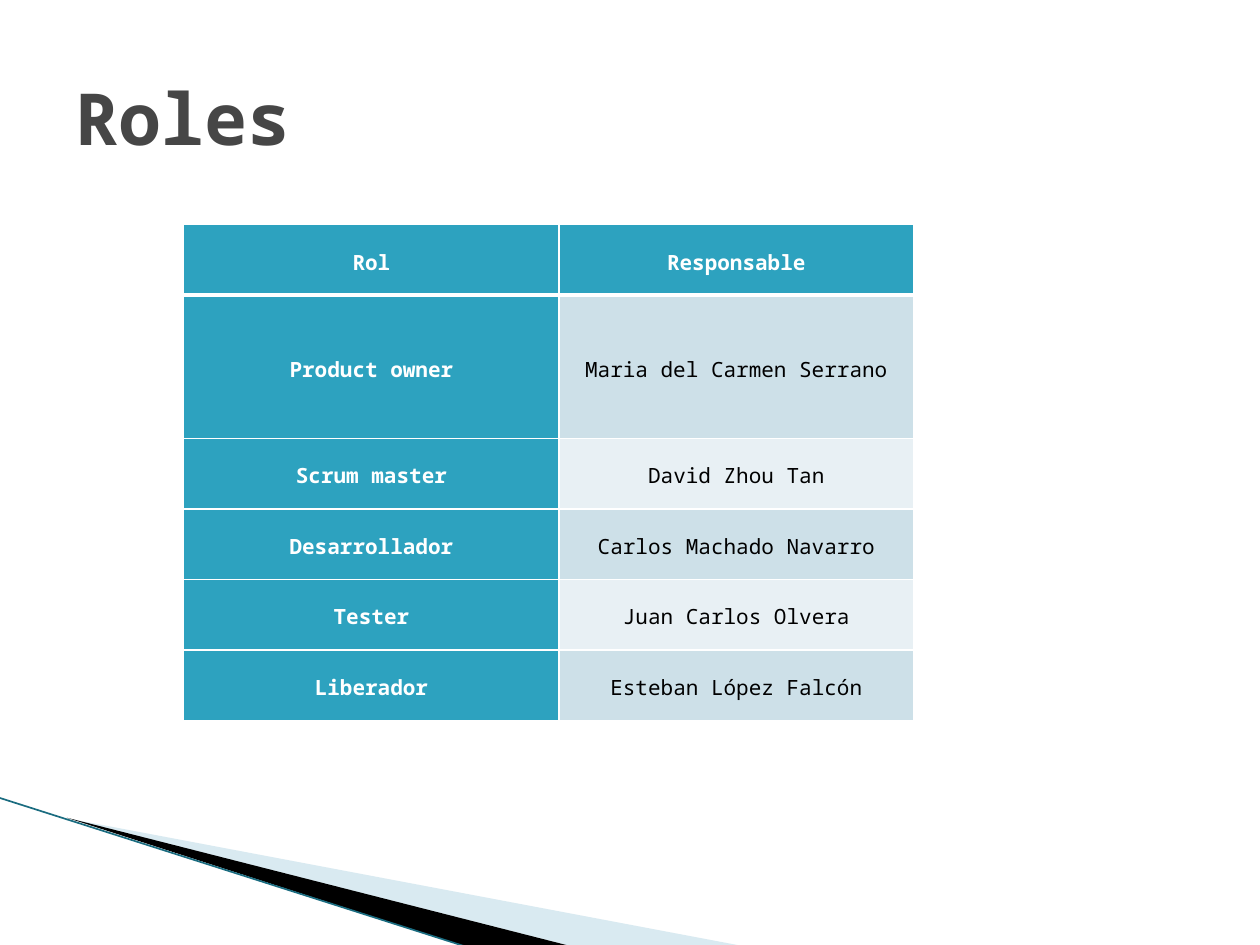
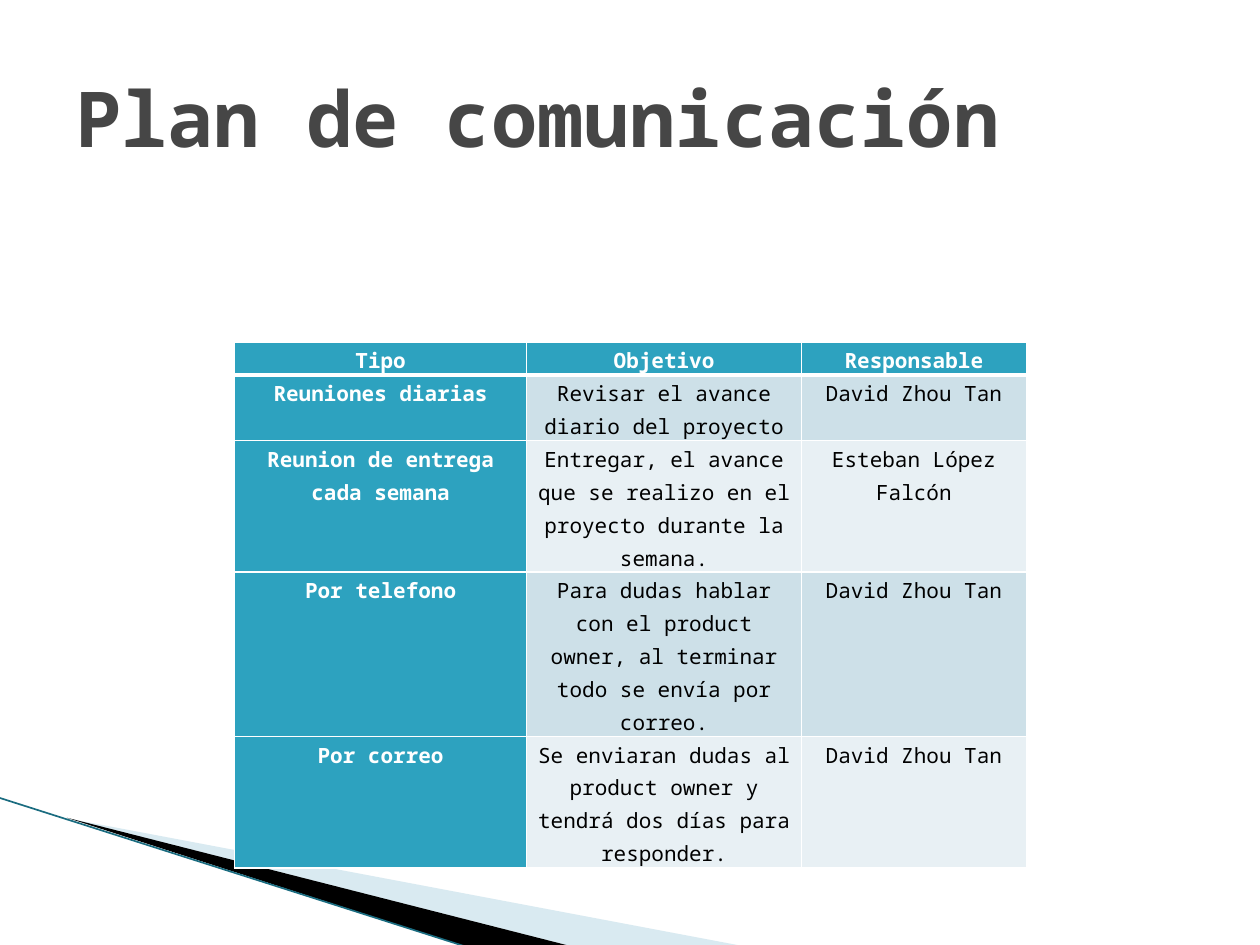
from lxml import etree
from pptx import Presentation
from pptx.dml.color import RGBColor
from pptx.enum.shapes import MSO_CONNECTOR
from pptx.enum.text import MSO_ANCHOR, PP_ALIGN
from pptx.oxml.ns import qn
from pptx.util import Pt

STRAIGHT = MSO_CONNECTOR.STRAIGHT
TOP, MIDDLE = MSO_ANCHOR.TOP, MSO_ANCHOR.MIDDLE
LEFT, CENTER = PP_ALIGN.LEFT, PP_ALIGN.CENTER

WHITE = RGBColor(0xFF, 0xFF, 0xFF)
BLACK = RGBColor(0x00, 0x00, 0x00)
TITLE_GRAY = RGBColor(0x46, 0x46, 0x46)
TEAL = RGBColor(0x2D, 0xA2, 0xBF)
DARK_TEAL = RGBColor(0x1A, 0x6C, 0x80)
PALE_BLUE = RGBColor(0xA0, 0xCB, 0xDC)
BANDS = (RGBColor(0xCD, 0xE0, 0xE8), RGBColor(0xE8, 0xF0, 0xF4))

FONT = "Noto Sans Mono"
SLIDE_SIZE = (720, 540)
TITLE_BOX = (36, 21.6, 648, 90)
CORNER_BOX = (-0.7, 455.8, 429, 85.5)
LINE_HEIGHT = 18.7
ROLE_ROW = 40.32

ROLES = [
    ("Rol", "Responsable"),
    ("Product owner", "Maria del Carmen Serrano"),
    ("Scrum master", "David Zhou Tan"),
    ("Desarrollador", "Carlos Machado Navarro"),
    ("Tester", "Juan Carlos Olvera"),
    ("Liberador", "Esteban López Falcón"),
]
COMMUNICATION = [
    ("Tipo", "Objetivo", "Responsable"),
    ("Reuniones diarias", "Revisar el avance diario del proyecto", "David Zhou Tan"),
    ("Reunion de entrega cada semana",
     "Entregar, el avance que se realizo en el proyecto durante la semana.",
     "Esteban López Falcón"),
    ("Por telefono",
     "Para dudas hablar con el product owner, al terminar todo se envía por correo.",
     "David Zhou Tan"),
    ("Por correo",
     "Se enviaran dudas al product owner y tendrá dos días para responder.",
     "David Zhou Tan"),
]


def write_text(frame, text, size=12, color=BLACK, bold=False, align=CENTER,
               line_spacing=None, space_after=None):
    """Write one formatted paragraph into a text frame."""
    frame.word_wrap = True
    paragraph = frame.paragraphs[0]
    paragraph.alignment = align
    if line_spacing is not None:
        paragraph.line_spacing = line_spacing
    if space_after is not None:
        paragraph.space_after = Pt(space_after)
    run = paragraph.add_run()
    run.text = text
    run.font.name = FONT
    run.font.size = Pt(size)
    run.font.bold = bold
    run.font.color.rgb = color


def add_title(slide, box, text, size):
    """Place the slide title in its box."""
    frame = slide.shapes.add_textbox(*map(Pt, box)).text_frame
    frame.vertical_anchor = MIDDLE
    write_text(frame, text, size=size, color=TITLE_GRAY, bold=True, align=LEFT)


def add_wedge(slide, points, color, opacity=100):
    """Draw a filled outline through points, with opacity in percent."""
    start, *others = [(Pt(x), Pt(y)) for x, y in points]
    builder = slide.shapes.build_freeform(*start)
    builder.add_line_segments(others, close=True)
    shape = builder.convert_to_shape()
    shape.shadow.inherit = False
    shape.fill.solid()
    shape.fill.fore_color.rgb = color
    shape.line.fill.background()
    if opacity < 100:
        color_element = shape.element.spPr.find(".//" + qn("a:srgbClr"))
        etree.SubElement(color_element, qn("a:alpha"), val=str(opacity * 1000))


def add_corner(slide, box):
    """Draw the wedges and edge line of the lower left corner."""
    left, top, width, height = box
    right, bottom = left + width, top + height
    tip_x, tip_y = left + 40, top + 12
    inner, edge = left + 329.5, left + 268
    add_wedge(slide, [(tip_x, tip_y), (right, bottom), (inner, bottom)],
              PALE_BLUE, opacity=40)
    add_wedge(slide, [(tip_x - 1, tip_y - 0.5), (inner, bottom), (edge, bottom)], BLACK)
    line = slide.shapes.add_connector(STRAIGHT, *map(Pt, (left, top, edge, bottom)))
    line.line.color.rgb = DARK_TEAL
    line.line.width = Pt(0.95)
    etree.SubElement(line.element.spPr, qn("a:effectLst"))


def set_borders(cell, row_index):
    """Give a cell white borders, thicker beneath the header row."""
    widths = {"L": 1, "R": 1, "T": 3 if row_index == 1 else 1,
              "B": 3 if row_index == 0 else 1}
    properties = cell._tc.get_or_add_tcPr()
    for side, width in widths.items():
        border = etree.SubElement(properties, qn("a:ln" + side), w=str(Pt(width)))
        fill = etree.SubElement(border, qn("a:solidFill"))
        etree.SubElement(fill, qn("a:srgbClr"), val=str(WHITE))


def add_banded_table(slide, origin, column_widths, row_heights, rows, anchor):
    """Build a table with a teal header row, a teal first column and banded rows."""
    box = (*origin, sum(column_widths), sum(row_heights))
    table = slide.shapes.add_table(len(rows), len(column_widths), *map(Pt, box)).table
    table.horz_banding = False
    for column, width in zip(table.columns, column_widths):
        column.width = Pt(width)
    for row, height in zip(table.rows, row_heights):
        row.height = Pt(height)
    for row_index, texts in enumerate(rows):
        for column_index, text in enumerate(texts):
            cell = table.cell(row_index, column_index)
            heading = row_index == 0 or column_index == 0
            cell.margin_left = cell.margin_right = Pt(5.4)
            cell.margin_top = cell.margin_bottom = 0
            cell.vertical_anchor = anchor
            set_borders(cell, row_index)
            cell.fill.solid()
            cell.fill.fore_color.rgb = TEAL if heading else BANDS[(row_index - 1) % 2]
            write_text(cell.text_frame, text, color=WHITE if heading else BLACK,
                       bold=heading, line_spacing=1.15, space_after=10)


def add_table_slide(presentation, title, title_size, **table_format):
    """Add a slide with the corner art, a table and a title."""
    slide = presentation.slides.add_slide(presentation.slide_layouts[6])
    add_corner(slide, CORNER_BOX)
    add_banded_table(slide, **table_format)
    add_title(slide, TITLE_BOX, title, title_size)


def main():
    """Build and save the presentation."""
    presentation = Presentation()
    presentation.slide_width, presentation.slide_height = map(Pt, SLIDE_SIZE)
    add_table_slide(presentation, "Roles", 41, origin=(105, 128.3),
                    column_widths=(214.5, 202.5),
                    row_heights=[ROLE_ROW * units for units in (1, 2.03, 1, 1, 1, 1)],
                    rows=ROLES, anchor=MIDDLE)
    add_table_slide(presentation, "Plan de comunicación", 44, origin=(134, 195.5),
                    column_widths=(167, 157, 128.5),
                    row_heights=[LINE_HEIGHT * lines for lines in (1, 2, 4, 5, 4)],
                    rows=COMMUNICATION, anchor=TOP)
    presentation.save("out.pptx")


if __name__ == "__main__":
    main()
